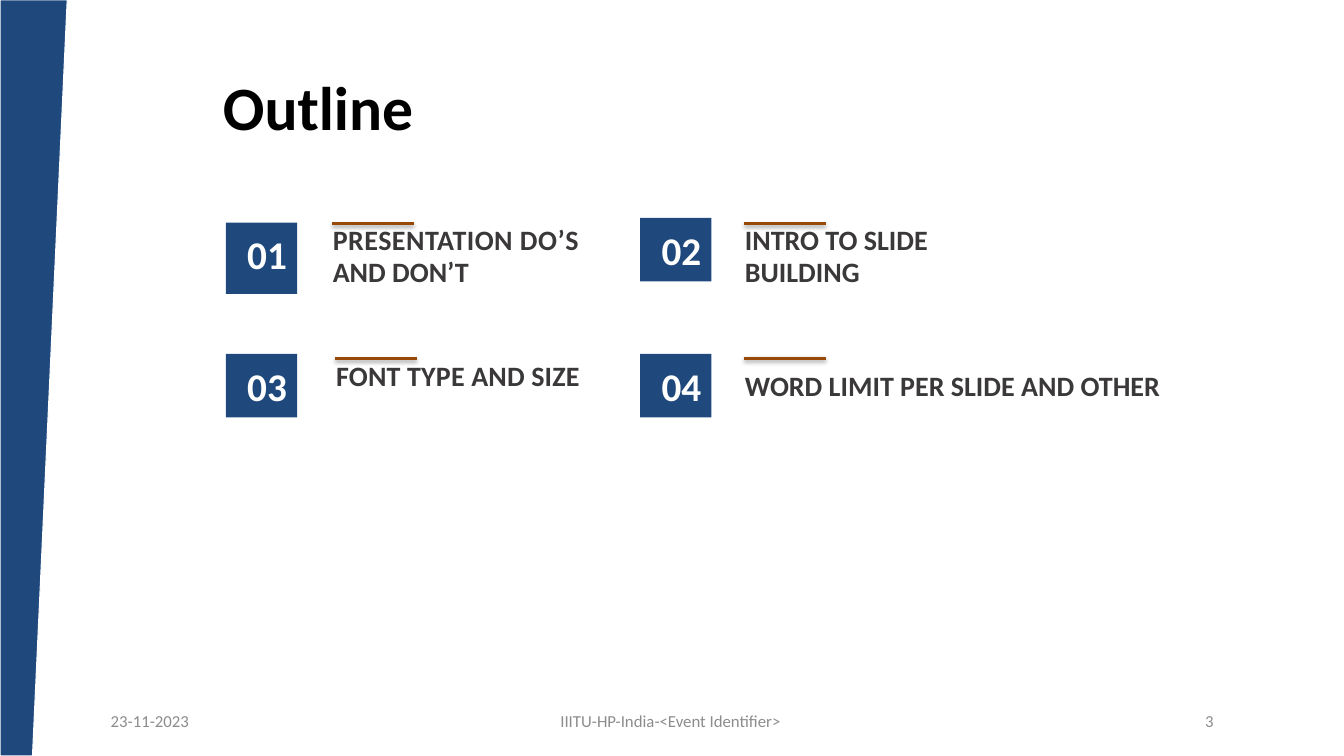
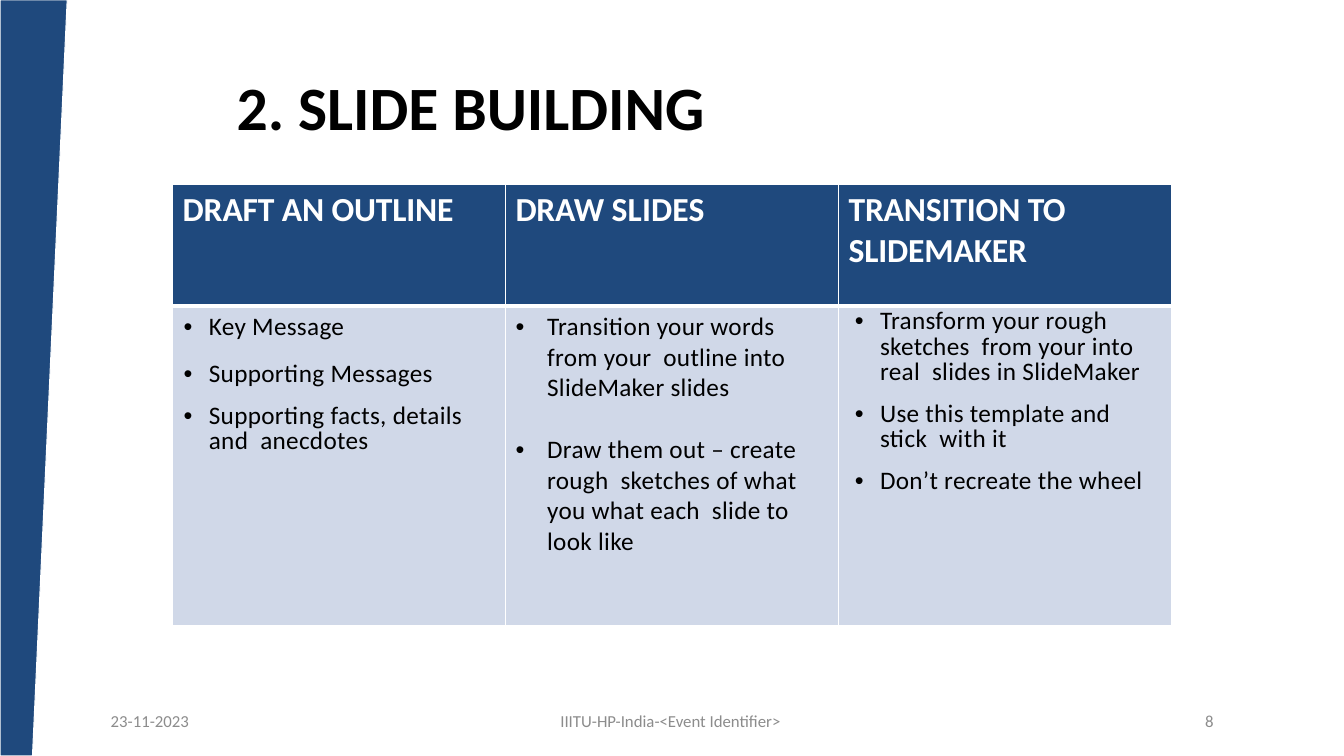
from dataclasses import dataclass

from lxml import etree
from pptx import Presentation
from pptx import util as u
from pptx.dml.color import RGBColor
from pptx.enum import shapes, text
from pptx.oxml import parse_xml
from pptx.oxml.ns import qn

Pt = u.Pt


@dataclass(frozen=True)
class Theme:
    font: str = "Calibri"
    navy: str = "1F497D"
    rust: str = "984807"
    pale: str = "D0D8E8"
    white: str = "FFFFFF"
    black: str = "000000"
    label: str = "3A3838"
    footer: str = "8C8C8C"
    title_size: int = 44
    badge_size: int = 28
    head_size: int = 24
    label_size: int = 20
    body_size: int = 18
    footer_size: int = 12


T = Theme()
A_NS = 'xmlns:a="http://schemas.openxmlformats.org/drawingml/2006/main"'
RULE_SHADOW = (
    f'<a:effectLst {A_NS}>'
    '<a:outerShdw blurRad="39370" dist="20320" dir="5400000" rotWithShape="0">'
    f'<a:srgbClr val="{T.black}"><a:alpha val="38000"/></a:srgbClr>'
    '</a:outerShdw></a:effectLst>')


def add_run(p, words, size, color, bold=False, spacing=0):
    """Add a run; spacing is the tracking in hundredths of a point."""
    r = p.add_run()
    r.text = words
    r.font.name, r.font.size, r.font.bold = T.font, Pt(size), bold
    r.font.color.rgb = RGBColor.from_string(color)
    if spacing:
        r.font._element.set("spc", str(spacing))


def start_slide(prs, title, number, title_inset=7.2):
    """Add a slide with the side band, title and footer."""
    s = prs.slides.add_slide(prs.slide_layouts[5])
    fb = s.shapes.build_freeform(Pt(48), 0)
    fb.add_line_segments([(0, 0), (0, Pt(540)), (Pt(23.2), Pt(540))])
    band = fb.convert_to_shape()
    band.shadow.inherit = False
    band.fill.solid()
    band.fill.fore_color.rgb = RGBColor.from_string(T.navy)
    band.line.color.rgb = RGBColor.from_string(T.white)
    band.line.width = Pt(0.75)

    sp = s.shapes.title
    sp.left, sp.top, sp.width, sp.height = Pt(152), Pt(50.4), Pt(722), Pt(57)
    tf = sp.text_frame
    tf.auto_size = text.MSO_AUTO_SIZE.NONE
    tf.vertical_anchor = text.MSO_ANCHOR.MIDDLE
    tf.margin_left = Pt(title_inset)
    p = tf.paragraphs[0]
    p.alignment, p.line_spacing = text.PP_ALIGN.LEFT, 0.9
    add_run(p, title, T.title_size, T.black, True)

    for left, width, align, words in (
            (72, 210, text.PP_ALIGN.LEFT, "23-11-2023"),
            (317, 324, text.PP_ALIGN.CENTER, "IIITU-HP-India-<Event Identifier>"),
            (678, 196, text.PP_ALIGN.RIGHT, str(number))):
        tf = s.shapes.add_textbox(Pt(left), Pt(500.5), Pt(width), Pt(28.8)).text_frame
        tf.word_wrap = True
        tf.vertical_anchor = text.MSO_ANCHOR.MIDDLE
        p = tf.paragraphs[0]
        p.alignment = align
        add_run(p, words, T.footer_size, T.footer)
    return s


prs = Presentation()
prs.slide_width, prs.slide_height = Pt(960), Pt(540)

# Outline
s = start_slide(prs, "Outline", 3)
grid = s.shapes.add_table(2, 2, Pt(150.5), Pt(136.8), Pt(584.6), Pt(260.6)).table
grid.first_row = grid.horz_banding = False
grid.rows[0].height, grid.rows[1].height = Pt(108), Pt(152.6)
for cell in grid.iter_cells():
    cell.fill.background()

# badge left, top, height; label left, top, width; rule top; label lines with tracking
topics = [
    (161.3, 159, 51, 237, 159, 200, 159.8, [("PRESENTATION DO’S", 33), ("AND DON’T", 0)]),
    (457.2, 155.6, 45.4, 531.4, 159, 205, 159.8, [("INTRO TO SLIDE", 0), ("BUILDING", 0)]),
    (161.3, 252.7, 45.4, 239.4, 256, 200, 256.3, [("FONT TYPE AND SIZE", 10)]),
    (457.2, 252.7, 45.4, 531.4, 263.2, 305, 256, [("WORD LIMIT PER SLIDE AND OTHER", 0)]),
]
for number, (bx, by, bh, lx, ly, lw, rule_y, lines) in enumerate(topics, 1):
    sp = s.shapes.add_shape(shapes.MSO_SHAPE.RECTANGLE, Pt(bx), Pt(by), Pt(51), Pt(bh))
    sp.shadow.inherit = False
    sp.fill.solid()
    sp.fill.fore_color.rgb = RGBColor.from_string(T.navy)
    sp.line.fill.background()
    tf = sp.text_frame
    tf.vertical_anchor = text.MSO_ANCHOR.TOP
    tf.margin_left, tf.margin_right = Pt(15.3), 0
    tf.margin_top = tf.margin_bottom = Pt(5.8)
    p = tf.paragraphs[0]
    p.alignment = text.PP_ALIGN.LEFT
    add_run(p, f"{number:02}", T.badge_size, T.white, True, 10)

    tf = s.shapes.add_textbox(Pt(lx), Pt(ly), Pt(lw), Pt(1.4 + 22.8 * len(lines))).text_frame
    tf.word_wrap = True
    tf.margin_left, tf.margin_top = Pt(0.7), Pt(1.4)
    tf.margin_right = tf.margin_bottom = 0
    for i, (line, tracking) in enumerate(lines):
        p = tf.add_paragraph() if i else tf.paragraphs[0]
        p.line_spacing = Pt(22.8)
        add_run(p, line, T.label_size, T.label, True, tracking)

    rule = s.shapes.add_connector(shapes.MSO_CONNECTOR.STRAIGHT,
                                  Pt(lx), Pt(rule_y), Pt(lx + 58.4), Pt(rule_y))
    rule.line.color.rgb = RGBColor.from_string(T.rust)
    rule.line.width = Pt(2)
    rule._element.spPr.append(parse_xml(RULE_SHADOW))

# Slide building
s = start_slide(prs, "2. SLIDE BUILDING", 8, title_inset=17)
# heading runs with tracking, text indent, hanging indent, right margin,
# [(text, space before, exact line height)]
columns = [
    ([("DRAFT AN OUTLINE", -10)], 18.7, 18, 7.2, [
        ("Key Message", 0, None),
        ("Supporting Messages", 11.7, None),
        ("Supporting facts, details and  anecdotes", 12.1, 18)]),
    ([("DRAW ", -20), ("SLIDES", 10)], 22.5, 22.5, 7.2, [
        ("Transition your words from your  outline into SlideMaker slides", 0, None),
        ("Draw them out – create rough  sketches of what you what each  slide to look like",
         22, None)]),
    ([("TRANSITION ", -10), ("TO ", -60), ("SLIDEMAKER", -10)], 22.5, 18, 20, [
        ("Transform your rough sketches  from your into real  slides in SlideMaker", 0, 18),
        ("Use this template and stick  with it", 12.3, 18),
        ("Don’t recreate the wheel", 11.6, 18)]),
]
table = s.shapes.add_table(2, 3, Pt(123.3), Pt(131.8), Pt(713.4), Pt(315)).table
table.horz_banding = False
table.rows[0].height, table.rows[1].height = Pt(87), Pt(228)
for col, (heading, indent, hanging, right, items) in enumerate(columns):
    table.columns[col].width = Pt(237.8)
    head, body = table.cell(0, col), table.cell(1, col)
    # border widths: left, right, top, bottom
    for cell, color, widths in ((head, T.navy, (1, 1, 1, 3)), (body, T.pale, (1, 1, 3, 1))):
        tcPr = cell._tc.get_or_add_tcPr()
        for side, width in zip("LRTB", widths):
            tcPr.append(parse_xml(
                f'<a:ln{side} {A_NS} w="{Pt(width)}"><a:solidFill>'
                f'<a:srgbClr val="{T.white}"/></a:solidFill></a:ln{side}>'))
        cell.fill.solid()
        cell.fill.fore_color.rgb = RGBColor.from_string(color)
    for words, tracking in heading:
        add_run(head.text_frame.paragraphs[0], words, T.head_size, T.white, True, tracking)
    body.margin_right = Pt(right)
    tf = body.text_frame
    for i, (words, before, height) in enumerate(items):
        p = tf.add_paragraph() if i else tf.paragraphs[0]
        pPr = p._p.get_or_add_pPr()
        pPr.set("marL", str(Pt(indent)))
        pPr.set("indent", str(-Pt(hanging)))
        etree.SubElement(pPr, qn("a:buFont")).set("typeface", "Arial")
        etree.SubElement(pPr, qn("a:buChar")).set("char", "•")
        p.space_before = Pt(before)
        if height:
            p.line_spacing = Pt(height)
        add_run(p, words, T.body_size, T.black, spacing=22)

prs.save("out.pptx")
